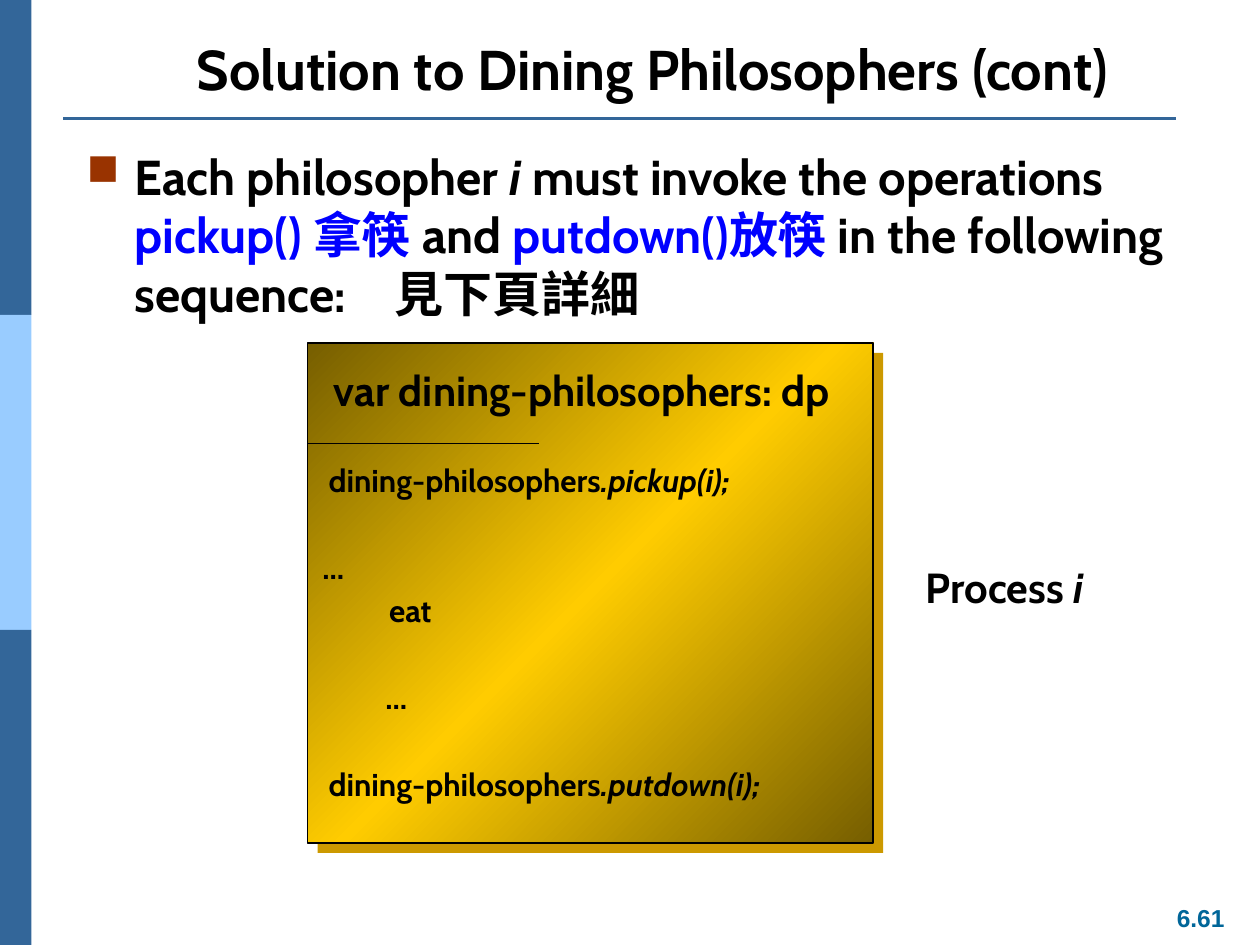
import copy

import pptx
import pptx.dml.color
import pptx.enum.shapes
import pptx.enum.text
import pptx.oxml.ns
import pptx.oxml.xmlchemy
import pptx.util

Inches = pptx.util.Inches
Pt = pptx.util.Pt
ALIGN = pptx.enum.text.PP_ALIGN
ANCHOR = pptx.enum.text.MSO_ANCHOR
COLORS = {
    "black": "000000",
    "rail": "336699",
    "rail_light": "99CCFF",
    "number": "006699",
    "bullet": "993300",
    "operation": "0000FF",
    "gold": "FFCC00",
    "gold_dark": "765E00",
    "gold_shadow": "CC9900",
}


def rgb(name):
    return pptx.dml.color.RGBColor.from_string(COLORS[name])


def element(tag, **attributes):
    node = pptx.oxml.xmlchemy.OxmlElement(tag)
    for name, value in attributes.items():
        node.set(name, value)
    return node


def add_text(p, text, size=18, color="black", font="Cabin", italic=False):
    r = p.add_run()
    r.text = text
    r.font.name = font
    r.font.size = Pt(size)
    r.font.bold = True
    r.font.italic = italic
    r.font.color.rgb = rgb(color)


class Deck:
    """Hold the style and the current slide, with a method per kind of element."""

    def __init__(self, prs):
        self.s = prs.slides.add_slide(prs.slide_layouts[6])

    def rect(self, x, y, w, h, fill, line=None):
        kind = pptx.enum.shapes.MSO_SHAPE.RECTANGLE
        sp = self.s.shapes.add_shape(kind, Inches(x), Inches(y), Inches(w), Inches(h))
        sp.shadow.inherit = False
        sp.fill.solid()
        sp.fill.fore_color.rgb = rgb(fill)
        if line:
            sp.line.color.rgb = rgb(line)
            sp.line.width = Pt(1)
        else:
            sp.line.fill.background()
        return sp

    def gold_panel(self, x, y, w, h, offset=0.08):
        self.rect(x + offset, y + offset, w, h, "gold_shadow")
        sp = self.rect(x, y, w, h, "gold", line="black")
        sp.fill.gradient()
        sp.fill.gradient_angle = 315
        stops = sp._element.spPr.find(".//" + pptx.oxml.ns.qn("a:gsLst"))
        stops.append(copy.deepcopy(stops[0]))
        names = ("gold_dark", "gold", "gold_dark")
        for stop, name, position in zip(sp.fill.gradient_stops, names, (0, 0.5, 1)):
            stop.color.rgb = rgb(name)
            stop.position = position

    def rule(self, x1, x2, y, color, width):
        kind = pptx.enum.shapes.MSO_CONNECTOR.STRAIGHT
        c = self.s.shapes.add_connector(kind, Inches(x1), Inches(y), Inches(x2), Inches(y))
        c.line.color.rgb = rgb(color)
        c.line.width = Pt(width)
        c._element.spPr.append(element("a:effectLst"))

    def text_box(self, x, y, w, h, anchor=ANCHOR.TOP):
        tf = self.s.shapes.add_textbox(Inches(x), Inches(y), Inches(w), Inches(h)).text_frame
        tf.word_wrap = True
        tf.vertical_anchor = anchor
        return tf

    def label(self, x, y, w, h, runs, align=ALIGN.LEFT, spacing=0.9, anchor=ANCHOR.TOP, **style):
        p = self.text_box(x, y, w, h, anchor).paragraphs[0]
        p.alignment = align
        p.line_spacing = spacing
        for text, italic in runs:
            add_text(p, text, italic=italic, **style)

    def bullet(self, x, y, w, h, runs):
        p = self.text_box(x, y, w, h).paragraphs[0]
        pPr = p._p.get_or_add_pPr()
        pPr.set("marL", str(Inches(0.38)))
        pPr.set("indent", str(-Inches(0.38)))
        color = element("a:buClr")
        color.append(element("a:srgbClr", val=COLORS["bullet"]))
        pPr.extend([color, element("a:buSzPct", val="90000"), element("a:buChar", char="■")])
        for text, style in runs:
            add_text(p, text, size=28, **style)

    def code(self, x, y, w, h, lines):
        tf = self.text_box(x, y, w, h)
        for i, (indent, before, text, call) in enumerate(lines):
            p = tf.add_paragraph() if i else tf.paragraphs[0]
            p._p.get_or_add_pPr().set("marL", str(Inches(indent)))
            p.line_spacing = 0.9
            p.space_before = Pt(before)
            add_text(p, text)
            if call:
                add_text(p, call, italic=True)


def main():
    prs = pptx.Presentation()
    prs.slide_width, prs.slide_height = Inches(10), Inches(7.5)
    deck = Deck(prs)

    for i, color in enumerate(("rail", "rail_light", "rail")):
        deck.rect(0, 2.5 * i, 0.25, 2.5, color)
    deck.rule(0.5, 9.33, 0.94, "rail", 1.5)
    deck.label(9.23, 7.12, 0.6, 0.34, [("6.61", False)], align=ALIGN.CENTER,
               spacing=1, size=14, color="number", font="Arial")
    deck.label(0.57, 0.16, 9.22, 0.7, [("Solution to Dining Philosophers (cont)", False)],
               align=ALIGN.CENTER, spacing=1, anchor=ANCHOR.BOTTOM, size=32)

    operation = {"color": "operation"}
    deck.bullet(0.59, 1.11, 9.2, 1.5, [
        ("Each philosopher ", {}),
        ("i ", {"italic": True}),
        ("must invoke the operations ", {}),
        ("pickup() 拿筷 ", operation),
        ("and ", {}),
        ("putdown()放筷", operation),
        (" in the following sequence:　見下頁詳細", {}),
    ])

    deck.gold_panel(2.44, 2.72, 4.49, 3.97)
    near, far = 5.4, 30.3
    deck.code(2.46, 3.64, 4, 2.92, [
        (0.05, 0, "dining-philosophers", ".pickup(i);"),
        (0, far, "...", ""),
        (0.53, near, "eat", ""),
        (0.5, far, "...", ""),
        (0.05, far, "dining-philosophers", ".putdown(i);"),
    ])
    deck.label(7.25, 4.45, 1.55, 0.46, [("Process ", False), ("i", True)], size=24)
    deck.rule(2.44, 4.28, 3.52, "black", 1)
    deck.label(2.55, 2.89, 4.25, 0.46, [("var dining-philosophers: dp", False)], size=24)

    prs.save("out.pptx")


if __name__ == "__main__":
    main()
